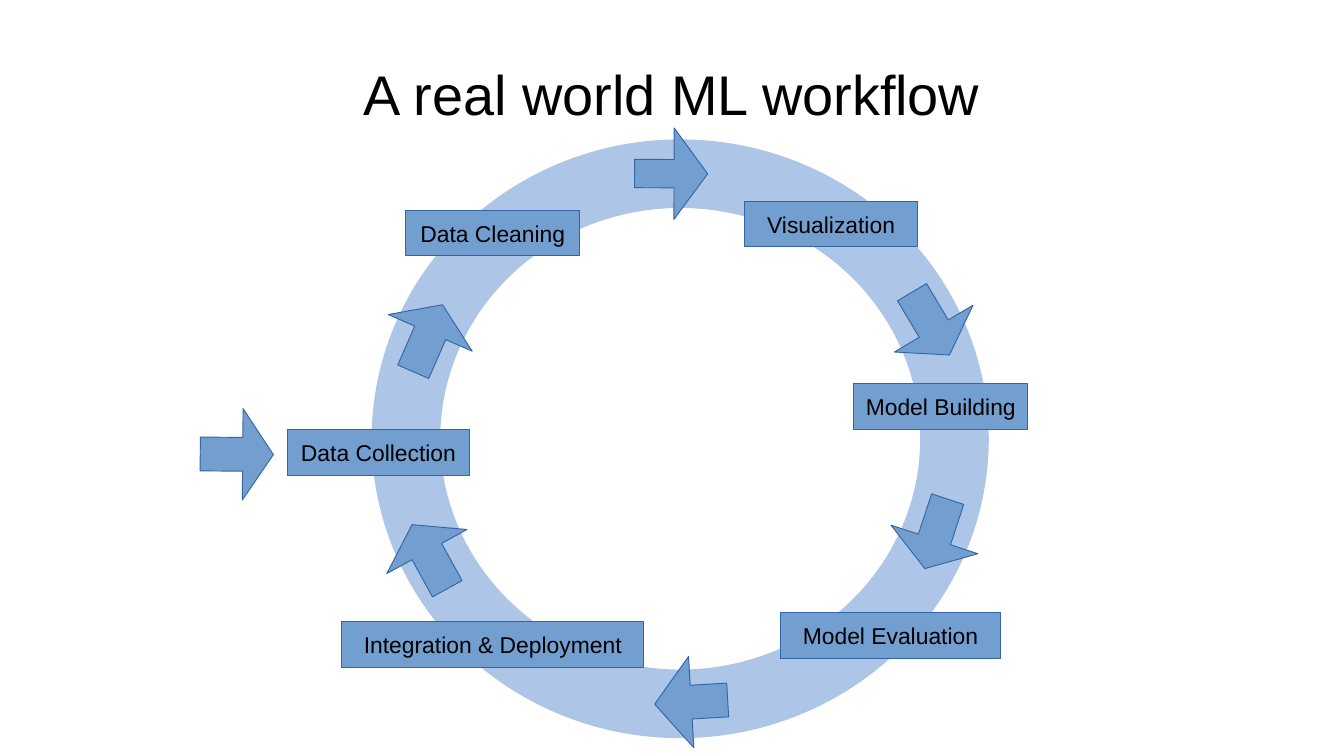
from collections import namedtuple

from pptx import Presentation
from pptx.dml.color import RGBColor
from pptx.enum.shapes import MSO_SHAPE
from pptx.enum.text import MSO_ANCHOR, PP_ALIGN
from pptx.util import Pt

OVAL, RECTANGLE, UP_ARROW = MSO_SHAPE.OVAL, MSO_SHAPE.RECTANGLE, MSO_SHAPE.UP_ARROW
MIDDLE, CENTER = MSO_ANCHOR.MIDDLE, PP_ALIGN.CENTER

RING_BLUE = RGBColor(0xAD, 0xC5, 0xE7)
STEP_BLUE = RGBColor(0x72, 0x9F, 0xCF)
EDGE_BLUE = RGBColor(0x34, 0x65, 0xA4)
BLACK = RGBColor(0, 0, 0)

FONT = "Arial"
BLANK_LAYOUT = 6

Box = namedtuple("Box", "left top width height")
PAGE = Box(0, 0, 1058.4, 595.44)
TITLE_BOX = Box(172.08, 23.76, 714.24, 99.36)
RING_BOX = Box(319.68, 136.8, 432, 417.6)

STEP_HEIGHT = 36
ARROW_WIDTH, ARROW_HEIGHT = 72, 57.6
SHAFT, HEAD = 0.37, 0.42

# Text, left, top and width; left and top are measured from the ring's corner
STEPS = [
    ("Data Collection", -93.6, 201.6, 144),
    ("Data Cleaning", 0, 28.8, 136.8),
    ("Visualization", 266.4, 21.6, 136.8),
    ("Model Building", 352.8, 165.6, 136.8),
    ("Integration & Deployment", -50.4, 352.8, 237.6),
    ("Model Evaluation", 295.2, 345.6, 172.8),
]

# Centre from the ring's corner, rotation, shaft and head proportions
ARROWS = [
    (17.28, 129.6, 23.6, SHAFT, HEAD),
    (208.8, 0, 90.2, 0.31, 0.46),
    (224.64, 416.16, 266.7, SHAFT, 0.5),
    (413.28, 118.08, 149.2, SHAFT, HEAD),
    (18.72, 301.68, 331.2, SHAFT, HEAD),
    (-133.2, 221.04, 90.5, SHAFT, HEAD),
    (417.6, 283.68, 198.2, SHAFT, HEAD),
]


def write_text(shape, text, size, wrap=False, inset_x=7.2, inset_y=3.6):
    frame = shape.text_frame
    frame.word_wrap = wrap
    frame.vertical_anchor = MIDDLE
    frame.margin_left = frame.margin_right = Pt(inset_x)
    frame.margin_top = frame.margin_bottom = Pt(inset_y)
    para = frame.paragraphs[0]
    para.alignment = CENTER
    span = para.add_run()
    span.text = text
    span.font.name = FONT
    span.font.size = Pt(size)
    span.font.color.rgb = BLACK


def add_figure(page, kind, box, fill=STEP_BLUE, line=EDGE_BLUE, line_width=0.75):
    shape = page.shapes.add_shape(kind, *map(Pt, box))
    shape.shadow.inherit = False
    if fill is None:
        shape.fill.background()
    else:
        shape.fill.solid()
        shape.fill.fore_color.rgb = fill
    shape.line.color.rgb = line
    shape.line.width = Pt(line_width)
    return shape


def add_title(page, box):
    title = page.shapes.add_textbox(*map(Pt, box))
    write_text(title, "A real world ML workflow", 44, wrap=True, inset_x=0, inset_y=0)


def add_ring(page, box):
    add_figure(page, OVAL, box, fill=None, line=RING_BLUE, line_width=54)


def add_steps(page, box):
    for text, left, top, width in STEPS:
        step_box = Box(box.left + left, box.top + top, width, STEP_HEIGHT)
        write_text(add_figure(page, RECTANGLE, step_box), text, 18)


def add_arrows(page, box):
    for center_x, center_y, rotation, shaft, head in ARROWS:
        left = box.left + center_x - ARROW_WIDTH / 2
        top = box.top + center_y - ARROW_HEIGHT / 2
        arrow = add_figure(page, UP_ARROW, Box(left, top, ARROW_WIDTH, ARROW_HEIGHT))
        arrow.rotation = rotation
        arrow.adjustments[0] = shaft
        arrow.adjustments[1] = head


def main():
    deck = Presentation()
    deck.slide_width, deck.slide_height = Pt(PAGE.width), Pt(PAGE.height)
    page = deck.slides.add_slide(deck.slide_layouts[BLANK_LAYOUT])

    # The cycle lies in layers: ring, then steps, then arrows
    add_ring(page, RING_BOX)
    add_title(page, TITLE_BOX)
    add_steps(page, RING_BOX)
    add_arrows(page, RING_BOX)
    deck.save("out.pptx")


if __name__ == "__main__":
    main()
